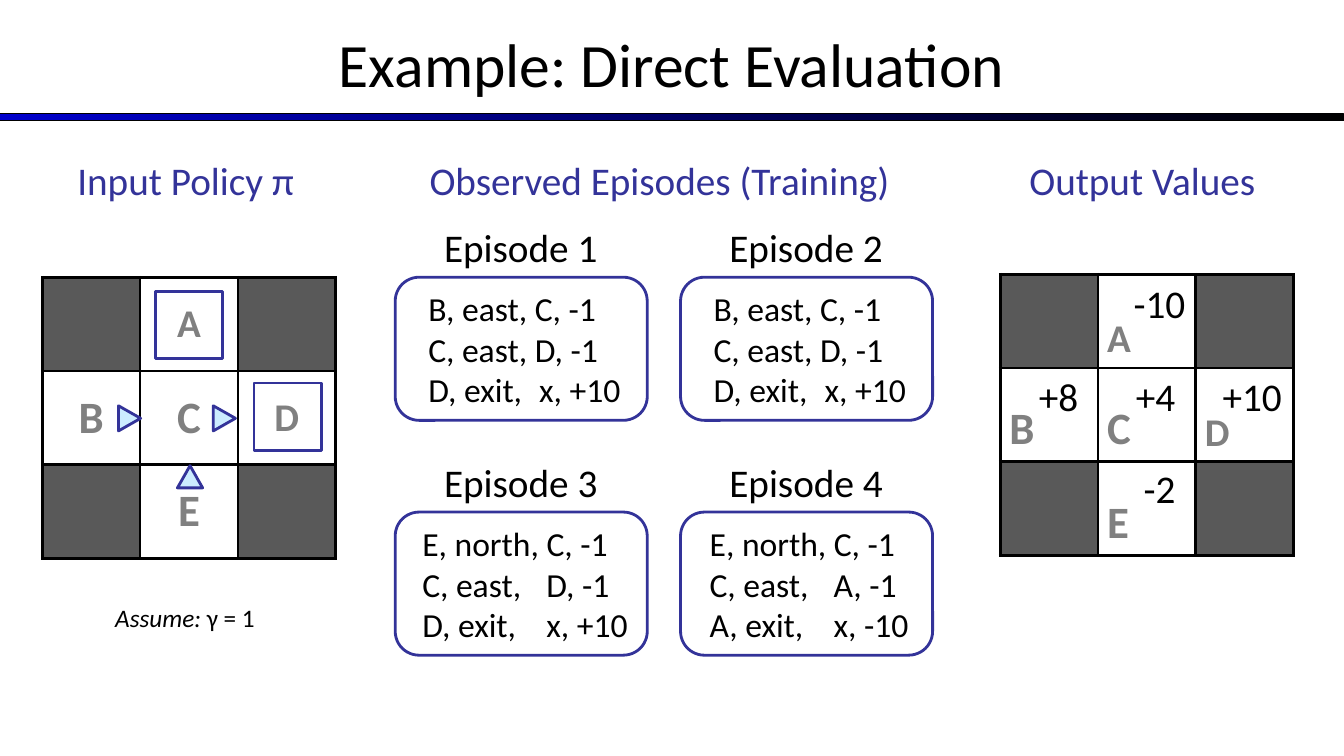
from dataclasses import dataclass

from lxml.etree import SubElement
from pptx import Presentation
from pptx.dml.color import RGBColor
from pptx.enum.shapes import MSO_SHAPE
from pptx.enum.text import MSO_ANCHOR, MSO_AUTO_SIZE, PP_ALIGN
from pptx.oxml.ns import qn
from pptx.shapes.autoshape import Shape
from pptx.slide import Slide
from pptx.text.text import TextFrame
from pptx.util import Inches, Pt

COLORS = {
    "black": "000000",
    "white": "FFFFFF",
    "blue": "0000CC",
    "indigo": "333399",
    "sky": "CCECFF",
    "wall": "595959",
    "letter": "808080",
}
FONT = "Calibri"
CELL_WIDTH = 0.97
CELL_HEIGHT = 0.93
GRID_ROWS = (" A ", "BCD", " E ")
EXIT_STATES = "AD"


@dataclass(frozen=True)
class Box:
    left: float
    top: float
    width: float
    height: float

    def lengths(self) -> tuple[int, int, int, int]:
        return (Inches(self.left), Inches(self.top),
                Inches(self.width), Inches(self.height))


@dataclass(frozen=True)
class Label:
    text: str
    box: Box
    size: float = 28
    color: str = "black"
    italic_lead: str = ""


@dataclass(frozen=True)
class Episode:
    steps: str
    indent: float
    tab: float


@dataclass(frozen=True)
class Arrow:
    box: Box
    rotation: float


LABELS = (
    Label("Example: Direct Evaluation", Box(0, 0.21, 13.33, 0.84), size=44),
    Label("Input Policy π", Box(0.55, 1.5, 2.58, 0.57), color="indigo"),
    Label("Observed Episodes (Training)", Box(4.08, 1.5, 4.92, 0.57), color="indigo"),
    Label("Output Values", Box(9.83, 1.5, 3, 0.57), color="indigo"),
    Label("γ = 1", Box(0.5, 5.93, 2.67, 0.4), size=18, italic_lead="Assume: "),
)
VALUES = (
    Label("+8", Box(10, 3.64, 1, 0.57)),
    Label("+4", Box(10.96, 3.64, 1, 0.57)),
    Label("+10", Box(11.92, 3.64, 1, 0.57)),
    Label("-10", Box(11, 2.72, 1, 0.57)),
    Label("-2", Box(11, 4.56, 1, 0.57)),
)
EPISODES = (
    Episode("B, east, C, -1\nC, east, D, -1\nD, exit,\tx, +10", 0.23, 1.1),
    Episode("B, east, C, -1\nC, east, D, -1\nD, exit,\tx, +10", 0.23, 1.1),
    Episode("E, north, C, -1\nC, east,\tD, -1\nD, exit,\tx, +10", 0.17, 1.23),
    Episode("E, north, C, -1\nC, east,\tA, -1\nA, exit,\tx, -10", 0.19, 1.23),
)
EXIT_SQUARES = (Box(2.52, 3.8, 0.67, 0.67), Box(1.54, 2.89, 0.67, 0.67))
ARROWS = (
    Arrow(Box(1.16, 4.04, 0.25, 0.22), 90),
    Arrow(Box(2.1, 4.04, 0.25, 0.22), 90),
    Arrow(Box(1.76, 4.62, 0.25, 0.22), 0),
)


def rgb(name: str) -> RGBColor:
    return RGBColor.from_string(COLORS[name])


def write_text(frame: TextFrame, text: str, *, size: float, color: str = "black",
               bold: bool = False, align: PP_ALIGN = PP_ALIGN.CENTER,
               italic_lead: str = "", tab: float = 0) -> None:
    for index, line in enumerate(text.split("\n")):
        paragraph = frame.paragraphs[0] if index == 0 else frame.add_paragraph()
        paragraph.alignment = align
        if "\t" in line:
            tabs = SubElement(paragraph._p.get_or_add_pPr(), qn("a:tabLst"))
            SubElement(tabs, qn("a:tab"), pos=str(Inches(tab)), algn="l")
        for part, italic in ((italic_lead, True), (line, False)):
            if part:
                run = paragraph.add_run()
                run.text = part
                run.font.name = FONT
                run.font.size = Pt(size)
                run.font.bold = bold
                run.font.italic = italic
                run.font.color.rgb = rgb(color)


def add_text_frame(slide: Slide, box: Box) -> TextFrame:
    frame = slide.shapes.add_textbox(*box.lengths()).text_frame
    frame.word_wrap = True
    frame.auto_size = MSO_AUTO_SIZE.SHAPE_TO_FIT_TEXT
    return frame


def add_label(slide: Slide, label: Label) -> None:
    write_text(add_text_frame(slide, label.box), label.text, size=label.size,
               color=label.color, italic_lead=label.italic_lead)


def add_outline(slide: Slide, kind: MSO_SHAPE, box: Box, fill: str = "",
                line: str = "indigo", line_width: float = 2) -> Shape:
    shape = slide.shapes.add_shape(kind, *box.lengths())
    shape.shadow.inherit = False
    if fill:
        shape.fill.solid()
        shape.fill.fore_color.rgb = rgb(fill)
    else:
        shape.fill.background()
    shape.line.color.rgb = rgb(line)
    shape.line.width = Pt(line_width)
    return shape


def add_title_rule(slide: Slide) -> None:
    rule = add_outline(slide, MSO_SHAPE.RECTANGLE, Box(0, 1.13, 13.33, 0.07),
                       line="black", line_width=0.75)
    rule.fill.gradient()
    rule.fill.gradient_angle = 0
    for stop, color in zip(rule.fill.gradient_stops, ("blue", "black")):
        stop.color.rgb = rgb(color)


def add_grid(slide: Slide, left: float, top: float, anchor: MSO_ANCHOR,
             align: PP_ALIGN) -> None:
    box = Box(left, top, 3 * CELL_WIDTH, 3 * CELL_HEIGHT)
    table = slide.shapes.add_table(3, 3, *box.lengths()).table
    table.first_row = table.horz_banding = False
    for row, states in enumerate(GRID_ROWS):
        for column, state in enumerate(states):
            cell = table.cell(row, column)
            properties = cell._tc.get_or_add_tcPr()
            for side in ("lnL", "lnR", "lnT", "lnB"):
                border = SubElement(properties, qn(f"a:{side}"), w=str(Pt(2.25)))
                paint = SubElement(border, qn("a:solidFill"))
                SubElement(paint, qn("a:srgbClr"), val=COLORS["black"])
            cell.fill.solid()
            cell.fill.fore_color.rgb = rgb("wall" if state == " " else "white")
            cell.vertical_anchor = anchor
            cell.margin_left = cell.margin_right = Inches(0.09)
            if state != " ":
                write_text(cell.text_frame, state, bold=True, color="letter",
                           size=28 if state in EXIT_STATES else 32, align=align)


def add_episode(slide: Slide, index: int, episode: Episode) -> None:
    row, column = divmod(index, 2)
    left, top = 3.92 + 2.83 * column, 2.75 + 2.33 * row
    add_label(slide, Label(f"Episode {index + 1}",
                           Box(left + 0.33, top - 0.58, 1.83, 0.57)))
    add_outline(slide, MSO_SHAPE.ROUNDED_RECTANGLE, Box(left, top, 2.5, 1.42))
    frame = add_text_frame(slide, Box(left + episode.indent, top + 0.06, 2.4, 1.31))
    write_text(frame, episode.steps, size=24, align=PP_ALIGN.LEFT, tab=episode.tab)


def main() -> None:
    presentation = Presentation()
    presentation.slide_width = Inches(13.33)
    presentation.slide_height = Inches(7.5)
    slide = presentation.slides.add_slide(presentation.slide_layouts[6])
    add_title_rule(slide)
    for label in LABELS:
        add_label(slide, label)
    add_grid(slide, 0.42, 2.75, MSO_ANCHOR.MIDDLE, PP_ALIGN.CENTER)
    for square in EXIT_SQUARES:
        add_outline(slide, MSO_SHAPE.RECTANGLE, square)
    for arrow in ARROWS:
        triangle = add_outline(slide, MSO_SHAPE.ISOSCELES_TRIANGLE, arrow.box, "sky")
        triangle.rotation = arrow.rotation
    for index, episode in enumerate(EPISODES):
        add_episode(slide, index, episode)
    add_grid(slide, 9.92, 2.72, MSO_ANCHOR.BOTTOM, PP_ALIGN.LEFT)
    for value in VALUES:
        add_label(slide, value)
    presentation.save("out.pptx")


if __name__ == "__main__":
    main()
